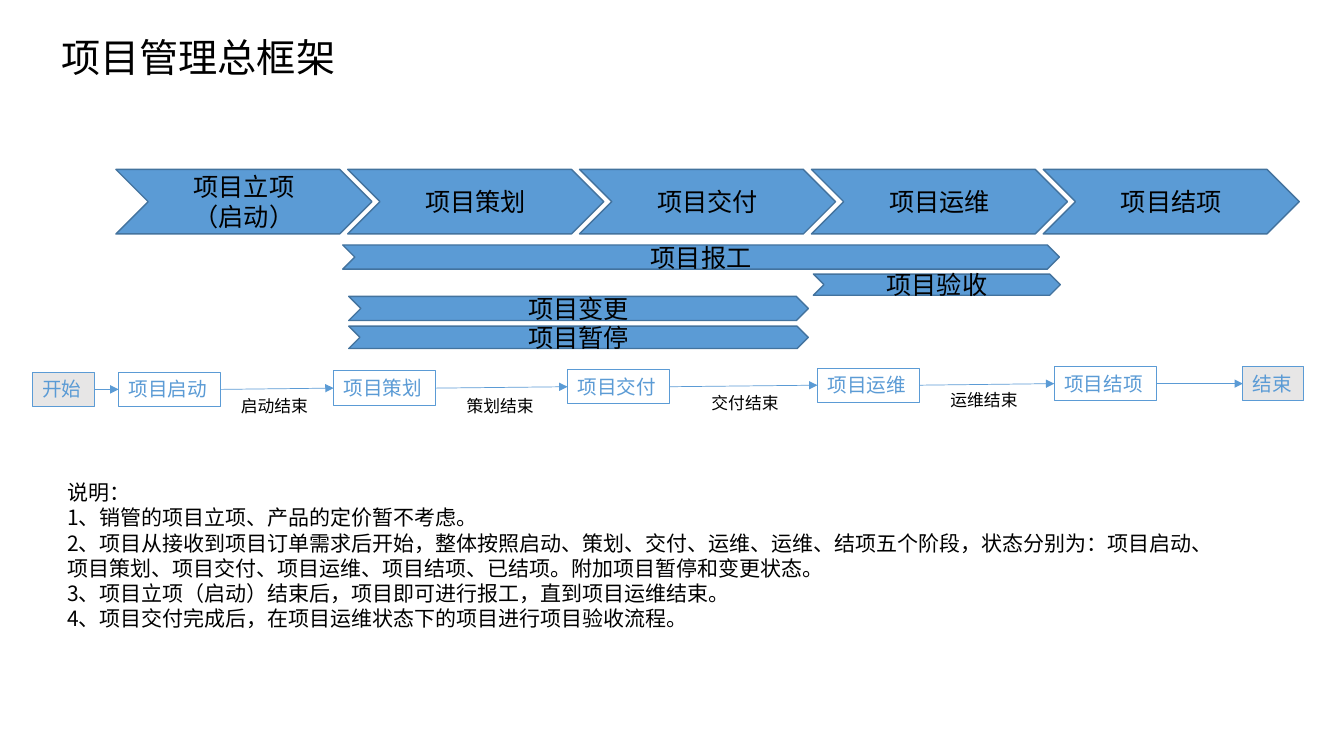
"""Build the project management framework slide."""
from lxml.etree import SubElement
from pptx import Presentation
from pptx.dml.color import RGBColor
from pptx.enum.shapes import MSO_CONNECTOR, MSO_SHAPE
from pptx.enum.text import MSO_ANCHOR, PP_ALIGN
from pptx.oxml.ns import qn
from pptx.util import Pt

COLORS = {"blue": "5B9BD5", "edge": "43739E", "gray": "E7E6E6", "black": "000000"}
TITLE = "项目管理总框架"
STAGES = [["项目立项", "（启动）"], ["项目策划"], ["项目交付"], ["项目运维"], ["项目结项"]]
STAGE_LEFT, STAGE_STEP = 82.8, 165.6
BARS = [
    ("项目验收", 581, 195.8, 176.4, 15.1),
    ("项目报工", 244.8, 175, 511.9, 17.3),
    ("项目变更", 249.1, 211.7, 328.3, 17.3),
    ("项目暂停", 249.1, 233, 328.3, 16),
]
STEPS = [
    ("开始", 23, 265.9, 44.6, "gray"),
    ("项目启动", 84.7, 265.9, 73, None),
    ("项目策划", 238.3, 265, 73, None),
    ("项目交付", 405.4, 264, 73, None),
    ("项目运维", 583.9, 262.9, 73, None),
    ("项目结项", 753.1, 261.8, 73, None),
    ("结束", 887.8, 261.8, 43.2, "gray"),
]
STEP_HEIGHT = 24.5
LABELS = [
    ("启动结束", 164.9, 279.4, 95),
    ("策划结束", 326.2, 279.4, 95),
    ("交付结束", 501.1, 277.2, 80.6),
    ("运维结束", 671.8, 275, 122.4),
]
NOTES = [
    "说明：",
    "1、销管的项目立项、产品的定价暂不考虑。",
    "2、项目从接收到项目订单需求后开始，整体按照启动、策划、交付、运维、运维、结项五个阶段，"
    "状态分别为：项目启动、项目策划、项目交付、项目运维、项目结项、已结项。附加项目暂停和变更状态。",
    "3、项目立项（启动）结束后，项目即可进行报工，直到项目运维结束。",
    "4、项目交付完成后，在项目运维状态下的项目进行项目验收流程。",
]


def color(name):
    return RGBColor.from_string(COLORS[name])


def write(shape, lines, size, ink="black", align=PP_ALIGN.LEFT,
          anchor=MSO_ANCHOR.TOP, font="Calibri", spacing=None):
    frame = shape.text_frame
    frame.word_wrap = True
    frame.vertical_anchor = anchor
    for index, line in enumerate(lines):
        paragraph = frame.add_paragraph() if index else frame.paragraphs[0]
        paragraph.alignment = align
        if spacing:
            paragraph.line_spacing = Pt(spacing)
        run = paragraph.add_run()
        run.text = line
        run.font.size = Pt(size)
        run.font.name = font
        run.font.color.rgb = color(ink)


def add_text(box, lines, size, **style):
    shape = slide.shapes.add_textbox(*map(Pt, box))
    write(shape, lines, size, **style)


def add_box(kind, box, fill, edge, width):
    shape = slide.shapes.add_shape(kind, *map(Pt, box))
    shape.shadow.inherit = False
    if fill:
        shape.fill.solid()
        shape.fill.fore_color.rgb = color(fill)
    else:
        shape.fill.background()
    shape.line.color.rgb = color(edge)
    shape.line.width = Pt(width)
    return shape


def add_chevron(lines, *box):
    shape = add_box(MSO_SHAPE.CHEVRON, box, "blue", "edge", 1)
    write(shape, lines, 18, align=PP_ALIGN.CENTER, anchor=MSO_ANCHOR.MIDDLE)


def add_step(text, left, top, width, fill):
    box = (left, top, width, STEP_HEIGHT)
    shape = add_box(MSO_SHAPE.RECTANGLE, box, fill, "blue", 0.75)
    write(shape, [text], 14, ink="blue")
    return shape


def add_arrow(source, target):
    arrow = slide.shapes.add_connector(MSO_CONNECTOR.STRAIGHT, 0, 0, 0, 0)
    arrow.begin_connect(source, 3)
    arrow.end_connect(target, 1)
    arrow.line.color.rgb = color("blue")
    arrow.line.width = Pt(0.5)
    SubElement(arrow.line._get_or_add_ln(), qn("a:tailEnd"), type="triangle")
    SubElement(arrow._element.spPr, qn("a:effectLst"))


presentation = Presentation()
presentation.slide_width, presentation.slide_height = Pt(960), Pt(540)
slide = presentation.slides.add_slide(presentation.slide_layouts[6])

add_text((36.7, 12.2, 305.3, 56.2), [TITLE], 28, anchor=MSO_ANCHOR.MIDDLE)
for index, lines in enumerate(STAGES):
    add_chevron(lines, STAGE_LEFT + index * STAGE_STEP, 121, 182.9, 46.1)
for text, *box in BARS:
    add_chevron([text], *box)
steps = [add_step(*step) for step in STEPS]
for source, target in zip(steps, steps[1:]):
    add_arrow(source, target)
for text, left, top, width in LABELS:
    add_text((left, top, width, 21.6), [text], 12)
add_text((41, 339.1, 833, 116.6), NOTES, 15, font="Noto Sans CJK SC", spacing=18)

presentation.save("out.pptx")
